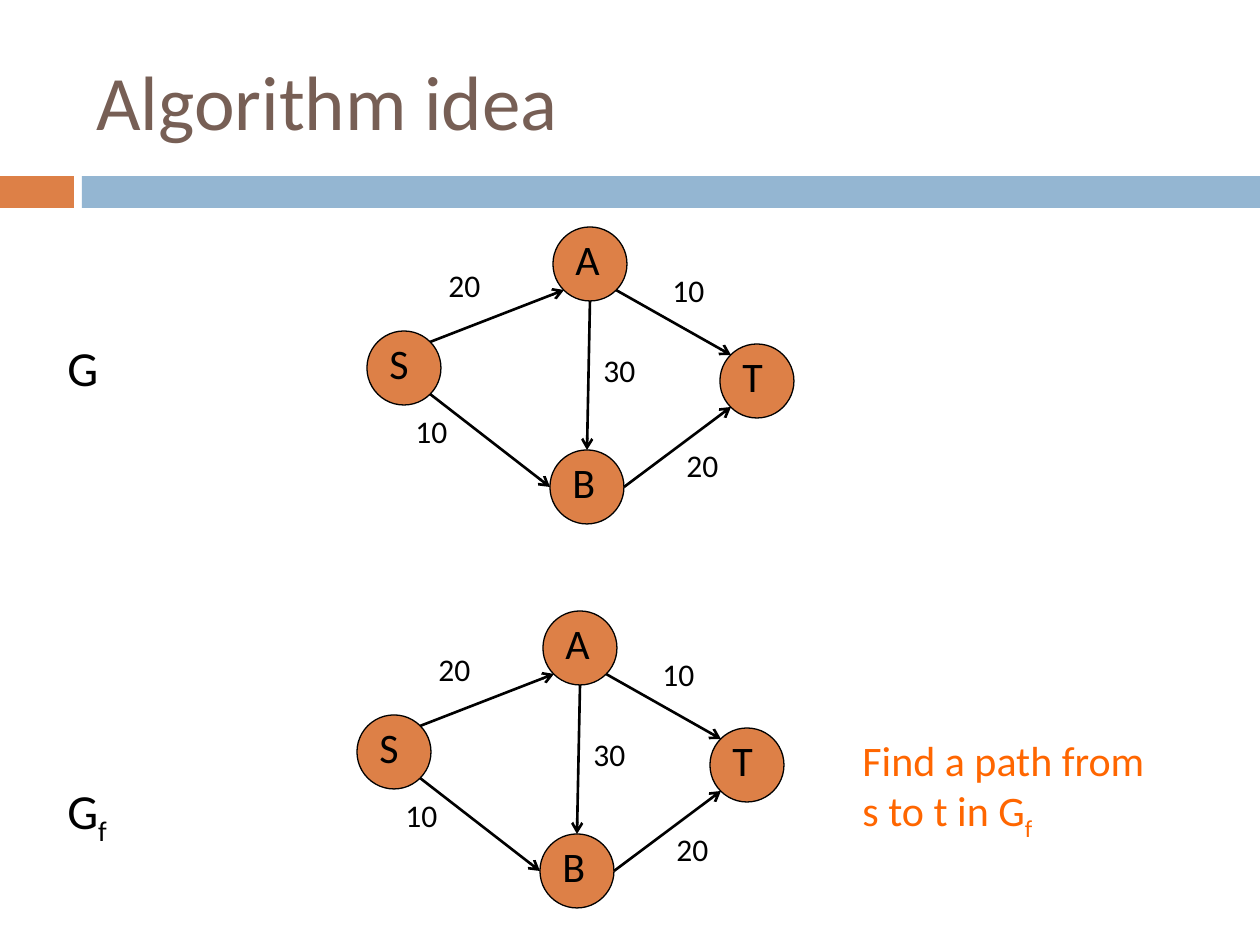
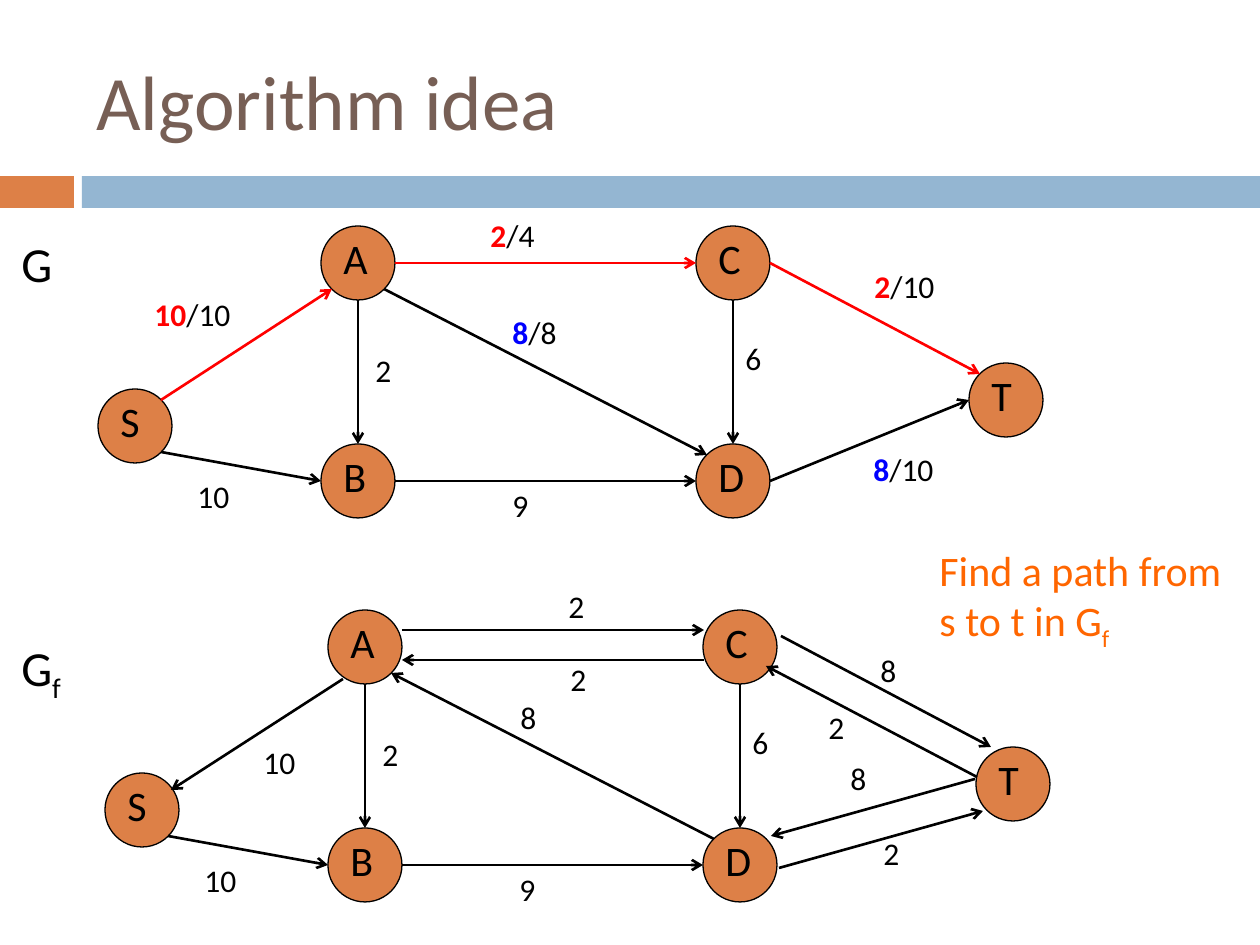
from lxml.etree import SubElement
from pptx import Presentation
from pptx.dml.color import RGBColor
from pptx.enum.shapes import MSO_CONNECTOR, MSO_SHAPE
from pptx.enum.text import MSO_ANCHOR
from pptx.oxml.ns import qn
from pptx.util import Pt

EMU_PER_PX = 914400 / 126
FONT = "Calibri"
COLORS = {
    "node": "DD8047", "band": "94B6D2", "title": "775F55", "ink": "000000",
    "path": "FF0000", "flow": "0000FF", "task": "FF6600",
}

# Node circles and the points on them where edges start and end
RADIUS = 37
DIAGONAL = 26
SITES = {
    "top": (0, -RADIUS), "bottom": (0, RADIUS),
    "left": (-RADIUS, 0), "right": (RADIUS, 0),
    "top left": (-DIAGONAL, -DIAGONAL), "top right": (DIAGONAL, -DIAGONAL),
    "bottom left": (-DIAGONAL, DIAGONAL), "bottom right": (DIAGONAL, DIAGONAL),
}

# Small network: node centres, edges between sites, capacities
SMALL_NODES = {"S": (404, 368), "A": (590, 264), "B": (587, 487), "T": (757, 381)}
SMALL_EDGES = [
    ("S", "top right", "A", "bottom left", "ink"),
    ("S", "bottom right", "B", "left", "ink"),
    ("B", "right", "T", "bottom left", "ink"),
    ("A", "bottom", "B", "top", "ink"),
    ("A", "bottom right", "T", "top left", "ink"),
]
SMALL_CAPACITIES = [
    ("20", 436, 260), ("20", 674, 440), ("10", 403, 406),
    ("10", 660, 265), ("30", 591, 345),
]
SMALL_SHIFT = (-10, 384)

# Large network: the unused edges look the same in G and its residual graph
LARGE_NODES = {
    "S": (135, 426), "A": (358, 263), "B": (358, 481),
    "C": (733, 263), "D": (733, 481), "T": (1006, 400),
}
UNUSED_EDGES = [
    ("S", "bottom right", "B", "left", "ink"),
    ("B", "right", "D", "left", "ink"),
    ("A", "bottom", "B", "top", "ink"),
    ("C", "bottom", "D", "top", "ink"),
]
UNUSED_CAPACITIES = [("10", 185, 471), ("9", 500, 480), ("2", 363, 345), ("6", 733, 333)]
FLOW_EDGES = [
    ("S", "top right", "A", "bottom left", "path"),
    ("A", "right", "C", "left", "path"),
    ("C", "right", "T", "top left", "path"),
    ("A", "bottom right", "D", "top left", "ink"),
    ("D", "right", "T", "left", "ink"),
]
FLOWS = [
    ("10", "/10", "path", 142, 289), ("2", "/4", "path", 478, 210),
    ("2", "/10", "path", 862, 261), ("8", "/10", "flow", 861, 444),
    ("8", "/8", "flow", 500, 307),
]
LARGE_SHIFT = (7, 384)
REVERSED_EDGES = [("D", "top left", "A", "bottom right", "ink")]
RESIDUAL_ARROWS = [
    ((402, 630), (704, 630)), ((704, 660), (402, 660)),
    ((343, 679), (171, 790)), ((781, 636), (991, 747)),
    ((977, 777), (766, 666)), ((779, 868), (983, 811)),
    ((975, 779), (771, 836)),
]
RESIDUAL_CAPACITIES = [
    ("2", 556, 581), ("2", 558, 654), ("10", 251, 737), ("8", 868, 645),
    ("2", 816, 702), ("2", 871, 828), ("8", 838, 753), ("8", 508, 692),
]


def px(*lengths):
    return [round(length * EMU_PER_PX) for length in lengths]


def rgb(color):
    return RGBColor.from_string(COLORS[color])


def format_run(run, size, color, bold=False):
    run.font.name = FONT
    run.font.size = Pt(size)
    run.font.bold = bold
    run.font.color.rgb = rgb(color)


def add_text(slide, text, box, size, color="ink", bold=False):
    frame = slide.shapes.add_textbox(*px(*box)).text_frame
    frame.word_wrap = True
    paragraph = frame.paragraphs[0]
    paragraph.text = text
    for run in paragraph.runs:
        format_run(run, size, color, bold)
    return frame


def append_run(frame, text, size, color="ink"):
    run = frame.paragraphs[0].add_run()
    run.text = text
    format_run(run, size, color)
    return run


def add_subscript(frame, text, size, color="ink"):
    run = append_run(frame, text, size, color)
    run.font._element.set("baseline", "-25000")


def add_filled(slide, preset, box, color):
    shape = slide.shapes.add_shape(preset, *px(*box))
    shape.shadow.inherit = False
    shape.fill.solid()
    shape.fill.fore_color.rgb = rgb(color)
    shape.line.fill.background()
    return shape


def add_node(slide, name, x, y):
    left, top = x - RADIUS, y - RADIUS
    circle = add_filled(slide, MSO_SHAPE.OVAL, (left, top, 2 * RADIUS, 2 * RADIUS), "node")
    circle.line.color.rgb = rgb("ink")
    circle.line.width = Pt(0.75)
    add_text(slide, name, (left + 10, top, 63, 63), 24)


def add_arrow(slide, start, end, color="ink"):
    arrow = slide.shapes.add_connector(MSO_CONNECTOR.STRAIGHT, *px(*start, *end))
    arrow.line.color.rgb = rgb(color)
    arrow.line.width = Pt(1.5)
    SubElement(arrow.line._get_or_add_ln(), qn("a:tailEnd"), type="arrow")
    SubElement(arrow._element.spPr, qn("a:effectLst"))


def add_capacities(slide, capacities, shift=(0, 0)):
    for capacity, x, y in capacities:
        add_text(slide, capacity, (x + shift[0], y + shift[1], 95, 50), 18)


def add_flows(slide, flows):
    for flow, capacity, color, x, y in flows:
        label = add_text(slide, flow, (x, y, 120, 50), 18, color, bold=True)
        append_run(label, capacity, 18)


def add_network(slide, nodes, edges, capacities, shift=(0, 0)):
    dx, dy = shift
    centres = {name: (x + dx, y + dy) for name, (x, y) in nodes.items()}

    def site_point(name, site):
        return [centre + offset for centre, offset in zip(centres[name], SITES[site])]

    for name, (x, y) in centres.items():
        add_node(slide, name, x, y)
    for source, source_site, target, target_site, color in edges:
        add_arrow(slide, site_point(source, source_site),
                  site_point(target, target_site), color)
    add_capacities(slide, capacities, shift)


def add_graph_names(slide, left, graph_top, residual_top):
    add_text(slide, "G", (left, graph_top, 111, 72), 28)
    residual = add_text(slide, "G", (left, residual_top, 111, 72), 28)
    add_subscript(residual, "f", 28)


def add_task(slide, left, top):
    task = add_text(slide, "Find a path from\vs to t in G", (left, top, 333, 115), 24, "task")
    add_subscript(task, "f", 24, "task")


def add_titled_slide(deck, title):
    slide = deck.slides.add_slide(deck.slide_layouts[6])
    add_filled(slide, MSO_SHAPE.RECTANGLE, (0, 176, 74, 32), "node")
    add_filled(slide, MSO_SHAPE.RECTANGLE, (82, 176, 1178, 32), "band")
    heading = add_text(slide, title, (84, 32, 1124, 136), 44, "title")
    heading.vertical_anchor = MSO_ANCHOR.MIDDLE
    return slide


def build_small_example(deck):
    slide = add_titled_slide(deck, "Algorithm idea")
    for shift in ((0, 0), SMALL_SHIFT):
        add_network(slide, SMALL_NODES, SMALL_EDGES, SMALL_CAPACITIES, shift)
    add_graph_names(slide, 55, 331, 774)
    add_task(slide, 850, 728)


def build_large_example(deck):
    slide = add_titled_slide(deck, "Algorithm idea")
    # Graph with its flow
    add_network(slide, LARGE_NODES, UNUSED_EDGES + FLOW_EDGES, UNUSED_CAPACITIES)
    add_flows(slide, FLOWS)
    # Residual graph
    add_network(slide, LARGE_NODES, UNUSED_EDGES + REVERSED_EDGES,
                UNUSED_CAPACITIES, LARGE_SHIFT)
    for start, end in RESIDUAL_ARROWS:
        add_arrow(slide, start, end)
    add_capacities(slide, RESIDUAL_CAPACITIES)
    add_graph_names(slide, 9, 227, 631)
    add_task(slide, 927, 538)


def main():
    deck = Presentation()
    deck.slide_width, deck.slide_height = px(1260, 945)
    build_small_example(deck)
    build_large_example(deck)
    deck.save("out.pptx")


if __name__ == "__main__":
    main()
